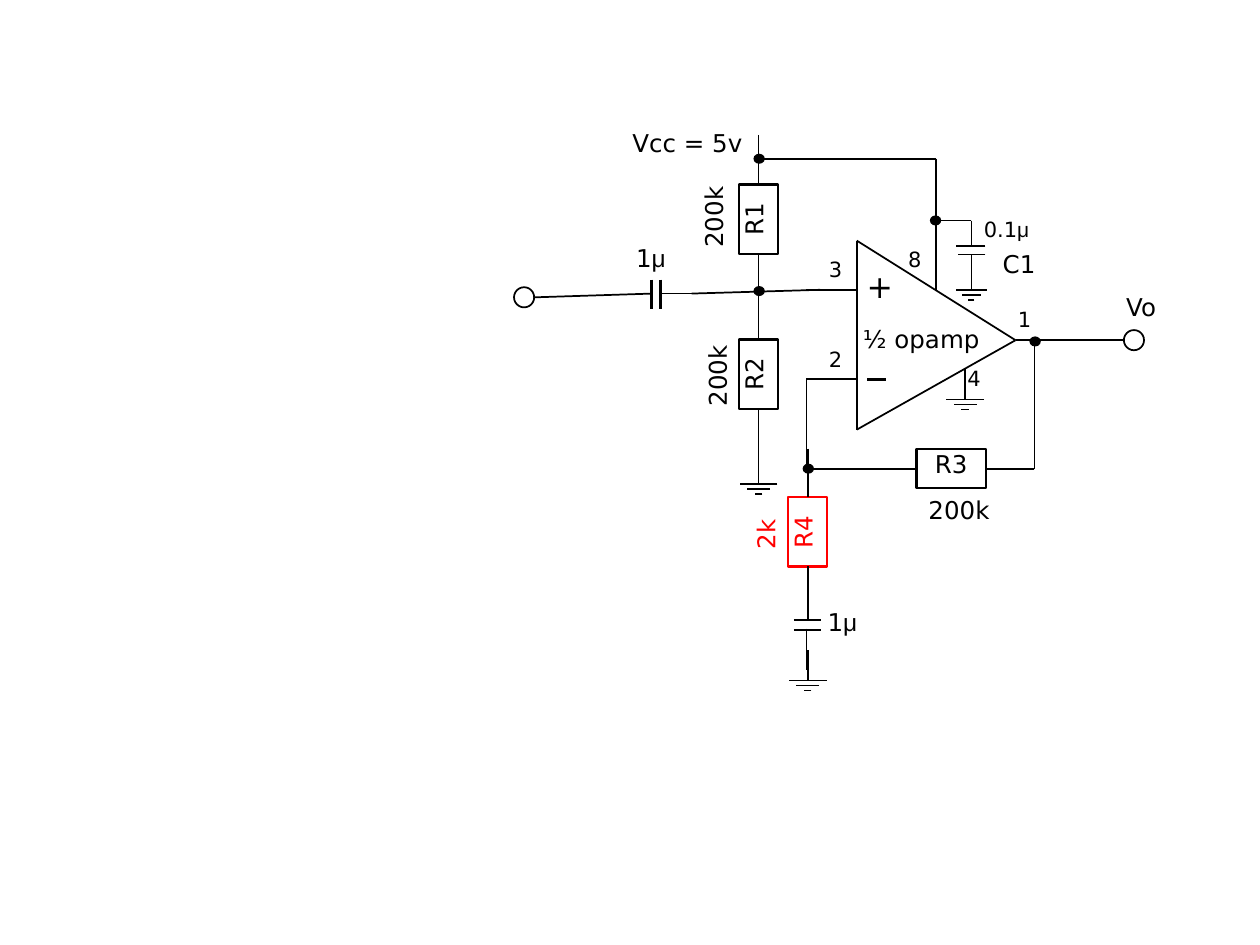
from pptx import Presentation
from pptx.dml.color import RGBColor as RGB
from pptx.enum.shapes import MSO_CONNECTOR as CONN, MSO_SHAPE as SHAPE
from pptx.enum.text import MSO_ANCHOR as ANCHOR, MSO_AUTO_SIZE as AUTO, PP_ALIGN as ALIGN
from pptx.oxml import parse_xml
from pptx.oxml.ns import nsdecls
from pptx.util import Inches, Pt

HUES = {"ink": "000000", "red": "FF0000", "paper": "FFFFFF"}
FONT = "DejaVu Sans"

deck = Presentation()
deck.slide_width, deck.slide_height = Inches(10), Inches(7.5)
shapes = deck.slides.add_slide(deck.slide_layouts[6]).shapes


def wire(x1, y1, x2, y2, weight=1):
    line = shapes.add_connector(CONN.STRAIGHT, *map(Inches, (x1, y1, x2, y2)))
    line.line.width = Pt(weight)
    line.line.color.rgb = RGB.from_string(HUES["ink"])
    line._element.spPr.append(parse_xml(f"<a:effectLst {nsdecls('a')}/>"))
    return line


def label(text, x, y, wide, high=0.34, size=14, hue="ink", turn=0):
    box = shapes.add_textbox(*map(Inches, (x, y, wide, high)))
    box.rotation = turn
    frame = box.text_frame
    frame.word_wrap = False
    frame.auto_size = AUTO.SHAPE_TO_FIT_TEXT
    stem = text.rstrip("μ")
    for part, face in ((stem, FONT), (text[len(stem):], "Arial")):
        if part:
            run = frame.paragraphs[0].add_run()
            run.text = part
            run.font.size, run.font.name = Pt(size), face
            run.font.color.rgb = RGB.from_string(HUES[hue])


wires = [
    # op-amp outline and minus sign
    (6.8, 1.91, 6.8, 3.41), (6.8, 1.91, 8.06, 2.7), (6.8, 3.41, 8.06, 2.7),
    (7.03, 3.01, 6.88, 3.01, 1.5),
    # supply
    (7.43, 1.26, 7.43, 2.3), (7.43, 1.26, 6.02, 1.26),
    # inputs, output and feedback
    (6.8, 2.3, 6.4, 2.3), (6.8, 3.01, 6.4, 3.01), (8.92, 2.7, 8.06, 2.7),
    (8.21, 3.72, 8.21, 2.7), (6.4, 3.72, 6.4, 3.01),
    # C1
    (7.71, 1.75, 7.43, 1.75), (7.71, 1.75, 7.71, 1.95), (7.82, 1.95, 7.59, 1.95),
    (7.82, 2.02, 7.6, 2.02), (7.71, 2.02, 7.71, 2.22),
    # input capacitor
    (5.17, 2.22, 5.17, 2.45, 1.5), (5.24, 2.22, 5.24, 2.45, 1.5),
    (5.18, 2.33, 4.24, 2.36), (5.57, 2.33, 5.24, 2.33), (6.51, 2.3, 5.49, 2.33),
    # capacitor below R4
    (6.3, 5, 6.52, 5, 1.5), (6.3, 4.92, 6.52, 4.92, 1.5),
    (6.4, 4.99, 6.4, 5.32), (6.41, 4.59, 6.41, 4.92),
]
for ends in wires:
    wire(*ends)

# Ground signs: stem x, stem top, first bar y, scale
for x, top, y, scale in [(7.66, 2.93, 3.17, 1), (6.02, 3.6, 3.84, 1),
                         (6.41, 5.16, 5.4, 1), (7.71, 2.07, 2.3, 0.8)]:
    wire(x, top, x, y)
    for row, half in enumerate((0.15, 0.09, 0.03)):
        bar = y + row * 0.04
        wire(x + half * scale, bar, x - half * scale, bar)

# Resistors: name, centre, turn, hue, start of first lead, end of second lead
LONG, SHORT = 0.55, 0.31
for name, x, y, turn, hue, start, stop in [
    ("R1", 6.02, 1.74, 270, "ink", (6.02, 1.07), (6.02, 2.29)),
    ("R2", 6.02, 2.97, 270, "ink", (6.02, 2.3), (6.02, 3.6)),
    ("R3", 7.55, 3.72, 0, "ink", (8.21, 3.72), (6.4, 3.72)),
    ("R4", 6.41, 4.22, 270, "red", (6.41, 3.56), (6.41, 4.86)),
]:
    body = shapes.add_shape(SHAPE.RECTANGLE, Inches(x - LONG / 2), Inches(y - SHORT / 2),
                            Inches(LONG), Inches(SHORT))
    body.shadow.inherit = False
    body.rotation = turn
    body.fill.solid()
    body.fill.fore_color.rgb = RGB.from_string(HUES["paper"])
    body.line.width = Pt(1.5)
    body.line.color.rgb = RGB.from_string(HUES[hue])
    frame = body.text_frame
    for key, value in {"margin_left": 0, "margin_right": 0, "margin_top": 0,
                       "margin_bottom": 0, "vertical_anchor": ANCHOR.TOP}.items():
        setattr(frame, key, value)
    para = frame.paragraphs[0]
    para.text, para.alignment = name, ALIGN.CENTER
    para.font.size, para.font.name = Pt(14), FONT
    para.font.color.rgb = RGB.from_string(HUES[hue])

    dx, dy = (0, -LONG / 2) if turn else (LONG / 2, 0)
    near, far = (x + dx, y + dy), (x - dx, y - dy)
    lead = wire(*start, *near)
    lead.end_connect(body, 3)
    # Joining ignores the body's turn, so the end is placed again
    lead.end_x, lead.end_y = map(Inches, near)
    lead = wire(*far, *stop)
    lead.begin_connect(body, 1)
    lead.begin_x, lead.begin_y = map(Inches, far)

# Junction dots and open terminals
dots = [(7.38, 1.71), (5.98, 2.27), (8.17, 2.67), (5.98, 1.22), (6.37, 3.68)]
rings = [(8.92, 2.62), (4.08, 2.28)]
for spots, wide, high, hue in ((dots, 0.09, 0.08, "ink"), (rings, 0.16, 0.16, "paper")):
    for x, y in spots:
        node = shapes.add_shape(SHAPE.OVAL, *map(Inches, (x, y, wide, high)))
        node.shadow.inherit = False
        node.fill.solid()
        node.fill.fore_color.rgb = RGB.from_string(HUES[hue])
        if hue == "ink":
            node.line.fill.background()
        else:
            node.line.width = Pt(1)
            node.line.color.rgb = RGB.from_string(HUES["ink"])

for text, x, y, wide in [
    ("Vcc = 5v", 4.92, 0.97, 1.09), ("Vo", 8.84, 2.27, 0.46), ("200k", 7.27, 3.88, 0.69),
    ("½ opamp", 6.75, 2.52, 1.14), ("C1", 7.86, 1.93, 0.46),
    ("1μ", 4.95, 1.88, 0.44), ("1μ", 6.47, 4.77, 0.44),
]:
    label(text, x, y, wide)
label("+", 6.78, 2.07, 0.41, 0.4, size=18)
label("0.1μ", 7.71, 1.67, 0.58, 0.26, size=12)
for pin, x, y in [("8", 7.11, 1.91), ("4", 7.58, 2.85), ("1", 7.98, 2.38),
                  ("2", 6.48, 2.7), ("3", 6.48, 1.99)]:
    label(pin, x, y, 0.31, 0.3, size=12)
for text, x, y, wide, hue in [("200k", 5.32, 1.55, 0.69, "ink"),
                              ("200k", 5.35, 2.81, 0.69, "ink"),
                              ("2k", 5.86, 4.07, 0.44, "red")]:
    label(text, x, y, wide, hue=hue, turn=270)

deck.save("out.pptx")
